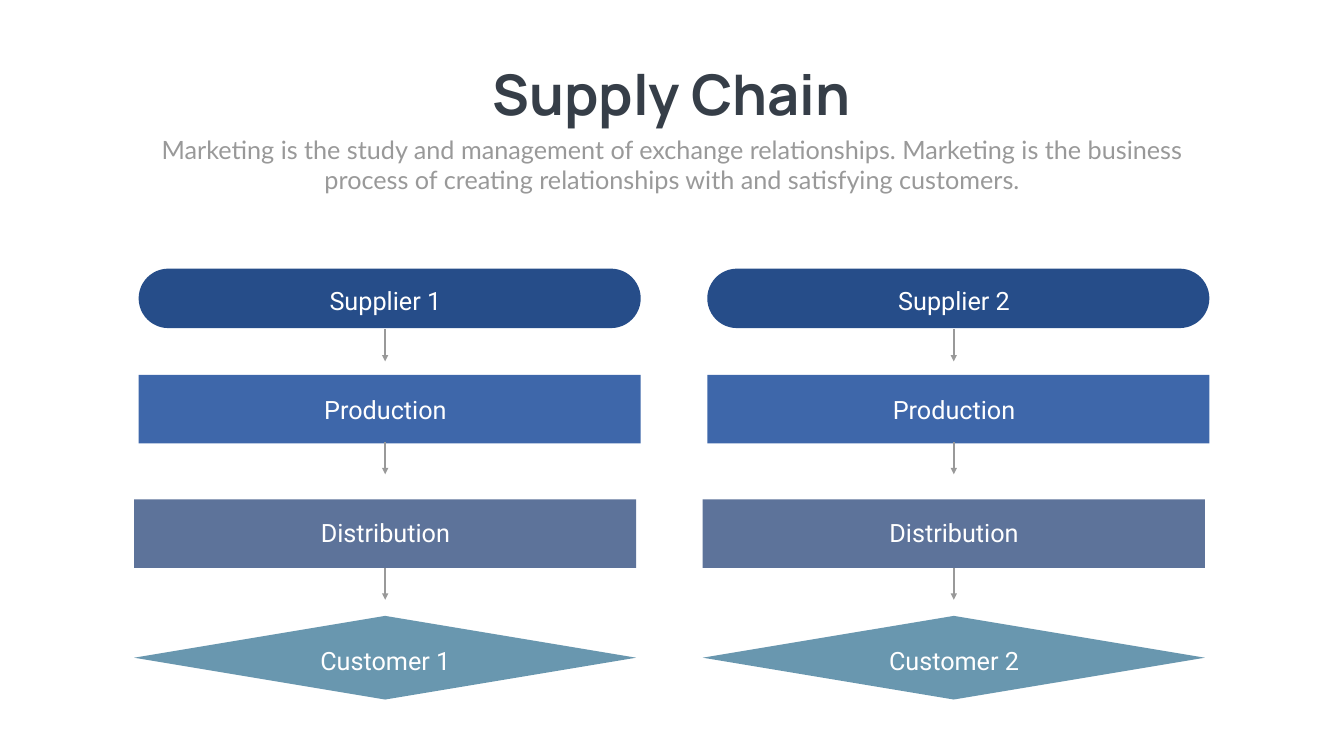
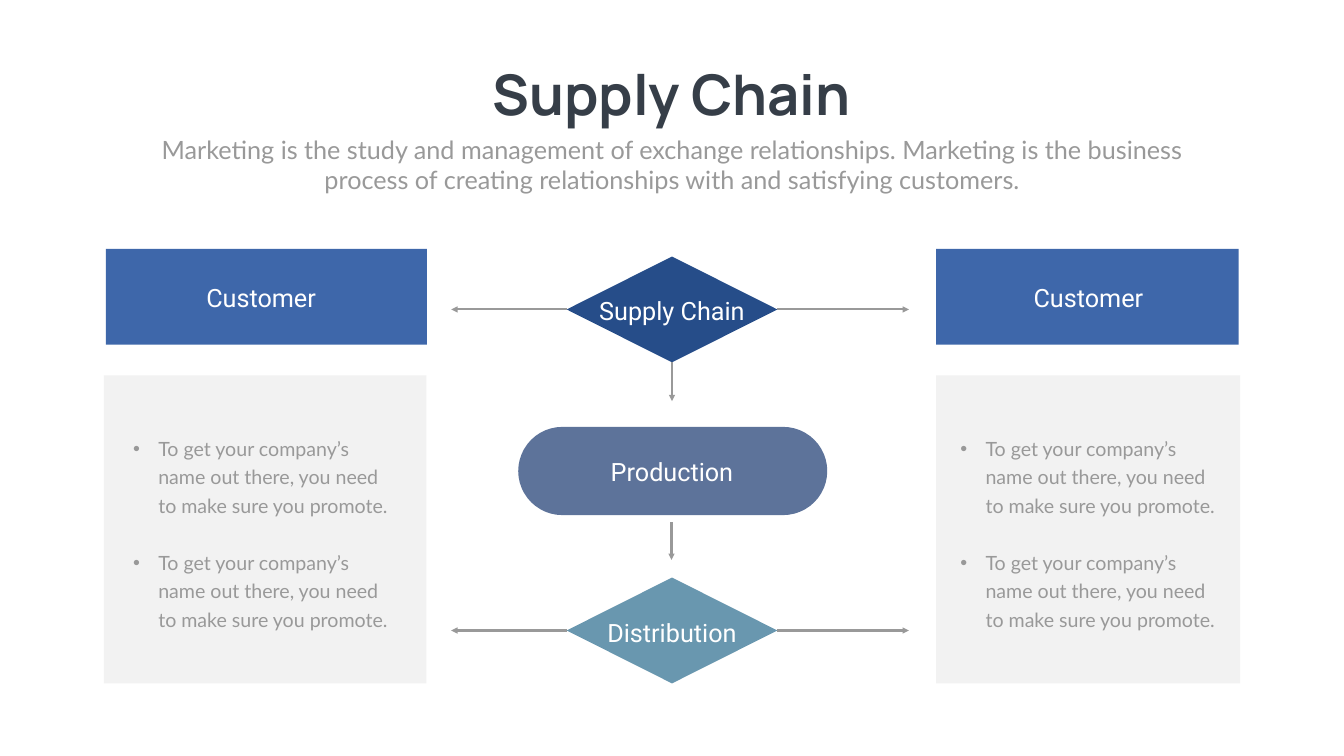
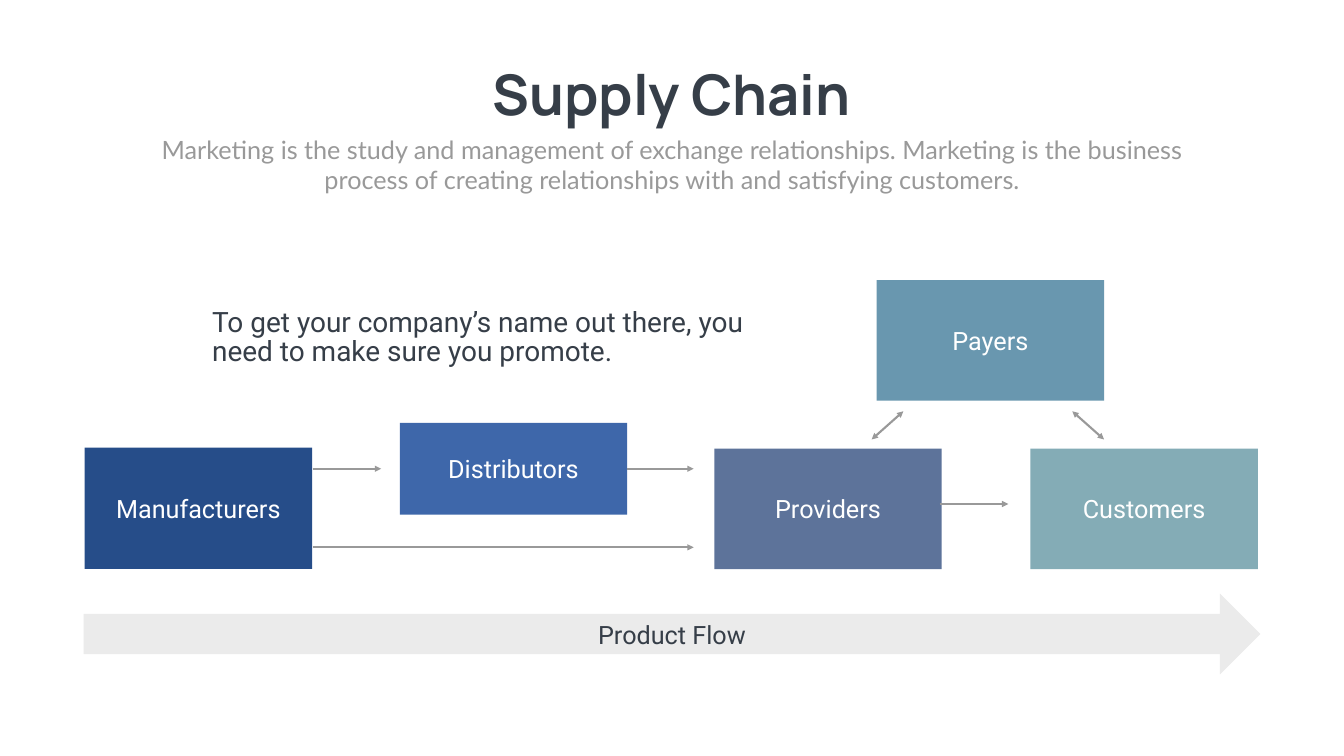
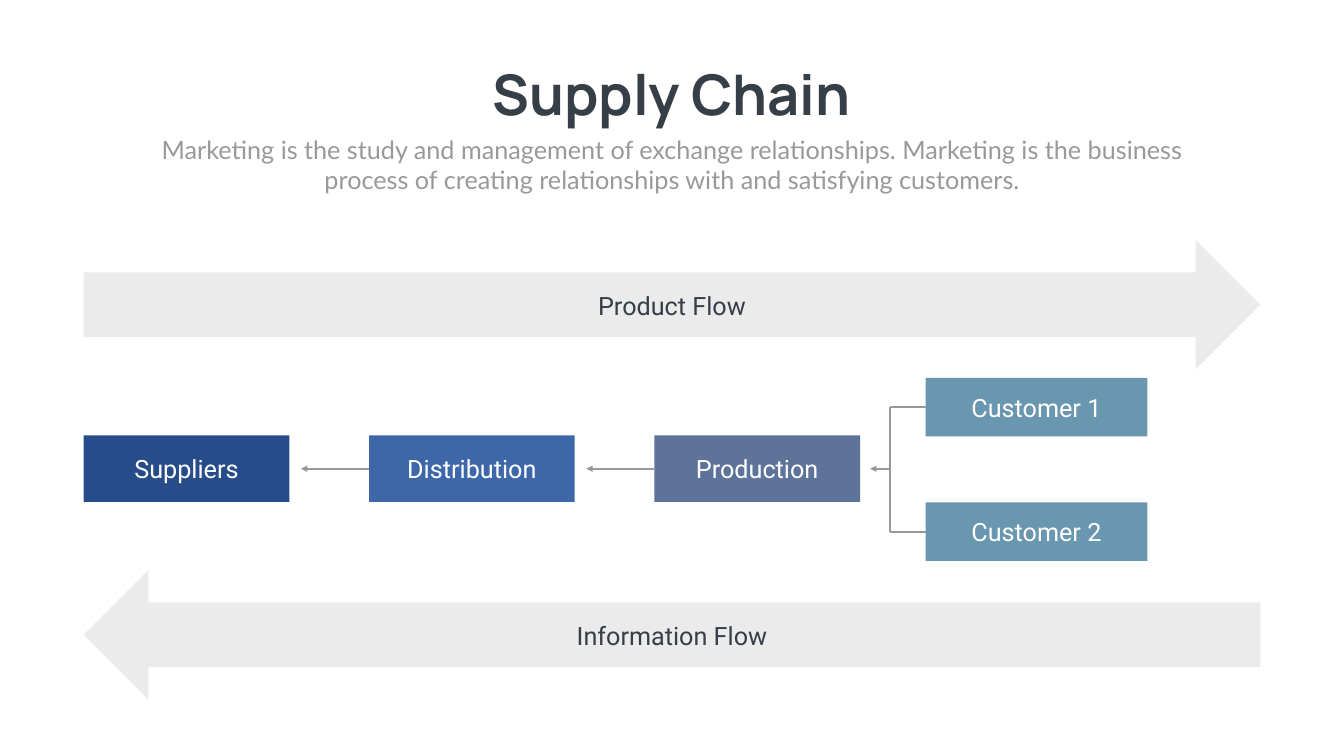
"""Build four supply chain slides."""
from dataclasses import dataclass

from lxml import etree
from pptx import Presentation
from pptx.dml.color import RGBColor
from pptx.enum import shapes, text
from pptx.oxml.ns import qn
from pptx.util import Pt

PX = 9144
KIND = shapes.MSO_SHAPE
TOP, LEFT, BOTTOM, RIGHT = range(4)


@dataclass(frozen=True)
class Theme:
    """Colours and type styles of the deck."""
    navy: str = "264D89"
    blue: str = "3E67AA"
    slate: str = "5D739A"
    teal: str = "6997AF"
    mint: str = "84ACB6"
    band: str = "EBEBEB"
    panel: str = "808080"
    grey: str = "999999"
    dark: str = "363E48"
    white: str = "FFFFFF"

    def style(self, name):
        """Return font values, colour and paragraph values of a style."""
        mid = {"alignment": text.PP_ALIGN.CENTER}
        left = {"alignment": text.PP_ALIGN.LEFT, "line_spacing": Pt(40.8)}
        return {
            "title": ({"name": "Manrope", "size": Pt(80), "bold": True}, self.dark, mid),
            "lead": ({"name": "Lato", "size": Pt(36)}, self.grey, mid),
            "label": ({"name": "Roboto", "size": Pt(36)}, self.white, mid),
            "flow": ({"name": "Roboto", "size": Pt(36)}, self.dark, mid),
            "note": ({"name": "Roboto", "size": Pt(40)}, self.dark, left),
            "list": ({"name": "Lato", "size": Pt(28)}, self.grey, left),
        }[name]


class Deck:
    """Draw styled elements on the current slide."""

    def __init__(self, theme):
        """Start a wide deck."""
        self.theme = theme
        self.prs = Presentation()
        self.prs.slide_width, self.prs.slide_height = 2666 * PX, 1500 * PX
        self.slide = None

    def page(self, layout=5):
        """Add a slide with the shared title and lead."""
        self.slide = self.prs.slides.add_slide(self.prs.slide_layouts[layout])
        self.place(self.slide.shapes.title, 937, 112, 791, 145)
        self.letter(self.slide.shapes.title, ["Supply Chain"], "title", wrap=False)
        self.label("Marketing is the study and management of exchange relationships. "
                   "Marketing is the business process of creating relationships with "
                   "and satisfying customers.", 292, 261, 2082, 131, "lead", True)

    def place(self, item, *box):
        """Move an item to a box in px."""
        for key, val in zip(("left", "top", "width", "height"), box):
            setattr(item, key, val * PX)

    def letter(self, item, lines, name, wrap=True):
        """Fill an item with styled paragraphs."""
        face, ink, form = self.theme.style(name)
        frame = item.text_frame
        frame.text = "\n".join(lines)
        setup = {"word_wrap": wrap, "auto_size": text.MSO_AUTO_SIZE.NONE,
                 "vertical_anchor": text.MSO_ANCHOR.MIDDLE}
        for key, val in setup.items():
            setattr(frame, key, val)
        for para in frame.paragraphs:
            for key, val in form.items():
                setattr(para, key, val)
            for key, val in face.items():
                setattr(para.font, key, val)
            para.font.color.rgb = RGBColor.from_string(ink)

    def label(self, words, x, y, w, h=71, name="label", wrap=False):
        """Add a text box."""
        item = self.slide.shapes.add_textbox(x * PX, y * PX, w * PX, h * PX)
        self.letter(item, [words], name, wrap)

    def shape(self, kind, fill, x, y, w, h, words=None, alpha=None):
        """Add a flat shape, with text if given."""
        item = self.slide.shapes.add_shape(kind, x * PX, y * PX, w * PX, h * PX)
        item.shadow.inherit = False
        item.line.fill.background()
        item.fill.solid()
        item.fill.fore_color.rgb = RGBColor.from_string(fill)
        if kind == KIND.ROUNDED_RECTANGLE:
            item.adjustments[0] = 0.5
        if alpha:
            tone = item._element.spPr.find(".//" + qn("a:srgbClr"))
            etree.SubElement(tone, qn("a:alpha")).set("val", str(alpha * 1000))
        if words:
            self.letter(item, [words], "label")
        return item

    def line(self, x1, y1, x2, y2, ends=("tailEnd",), join=None):
        """Add a line with arrowheads, joined at its start to (shape, side)."""
        item = self.slide.shapes.add_connector(
            shapes.MSO_CONNECTOR.STRAIGHT, x1 * PX, y1 * PX, x2 * PX, y2 * PX)
        if join:
            item.begin_connect(*join)
        item.line.width = Pt(3)
        item.line.color.rgb = RGBColor.from_string(self.theme.grey)
        pen = item._element.spPr.find(qn("a:ln"))
        for end in ends:
            etree.SubElement(pen, qn("a:" + end)).set("type", "triangle")
        etree.SubElement(item._element.spPr, qn("a:effectLst"))

    def bullets(self, slot, lines, *box):
        """Fill a body placeholder with a spaced list, in front of its panel."""
        item = self.slide.placeholders[slot]
        self.place(item, *box)
        self.letter(item, lines, "list")
        for i, para in enumerate(item.text_frame.paragraphs):
            prop = para._p.get_or_add_pPr()
            prop.set("marL", str(50 * PX))
            prop.set("indent", str(-50 * PX))
            para.space_before = Pt(40.8 if i else 0)
        self.slide.shapes._spTree.append(item._element)

    def flow(self, words, y, h, turn=0):
        """Add a wide block arrow with its label."""
        item = self.shape(KIND.RIGHT_ARROW, self.theme.band, 166, y, 2334, h)
        item.rotation = turn
        self.label(words, 1131, y + (h - 71) // 2 + 1, 404, name="flow")


def chains(deck):
    """Draw two parallel chains."""
    hue = deck.theme
    deck.page()
    for num, x in enumerate((266, 1394), 1):
        steps = (
            (KIND.ROUNDED_RECTANGLE, hue.navy, 9, 533, 118, f"Supplier {num}", 560, 653),
            (KIND.RECTANGLE, hue.blue, 9, 744, 136, "Production", 776, 877),
            (KIND.RECTANGLE, hue.slate, 0, 991, 136, "Distribution", 1020, 1126),
            (KIND.DIAMOND, hue.teal, 0, 1222, 166, f"Customer {num}", 1274, None),
        )
        for kind, fill, dx, y, h, words, ty, ly in steps:
            item = deck.shape(kind, fill, x + dx, y, 996, h)
            deck.label(words, x + 278, ty, 441)
            if ly:
                join = None if dx else (item, BOTTOM)
                deck.line(x + 498, ly, x + 498, ly + 64, join=join)


def hub(deck):
    """Draw a central chain between two customers."""
    hue = deck.theme
    deck.page(3)
    tip = "To get your company’s name out there, you need to make sure you promote."
    sides = ((1, 206, 640, 210, 637, 348, 254), (2, 1857, 603, 1857, 600, 1989, 1895))
    for slot, px, pw, hx, hw, tx, bx in sides:
        deck.shape(KIND.RECTANGLE, hue.panel, px, 745, pw, 611, alpha=10)
        deck.shape(KIND.RECTANGLE, hue.blue, hx, 494, hw, 190)
        deck.label("Customer", tx, 554, 340)
        deck.bullets(slot, [tip, tip], bx, 851, 527, 407)
    deck.shape(KIND.ROUNDED_RECTANGLE, hue.slate, 1028, 847, 613, 175)
    deck.label("Production", 1163, 899, 340)
    for words, fill, y, ty in (("Supply Chain", hue.navy, 509, 581),
                               ("Distribution", hue.teal, 1146, 1220)):
        item = deck.shape(KIND.DIAMOND, fill, 1124, y, 418, 210)
        deck.label(words, 1163, ty, 340)
        for side, start, end in ((LEFT, 1124, 895), (RIGHT, 1542, 1803)):
            deck.line(start, y + 105, end, y + 105, join=(item, side))
        if fill == hue.navy:
            deck.line(1333, 719, 1333, 796, join=(item, BOTTOM))
    deck.line(1332, 1036, 1332, 1111)


def market(deck):
    """Draw the route from makers to customers."""
    hue = deck.theme
    deck.page()
    boxes = (("Manufacturers", hue.navy, 168, 888, 241),
             ("Distributors", hue.blue, 793, 839, 182),
             ("Providers", hue.slate, 1417, 890, 239),
             ("Payers", hue.teal, 1739, 556, 239),
             ("Customers", hue.mint, 2044, 890, 239))
    made = {words: deck.shape(KIND.RECTANGLE, fill, x, y, 451, h, words)
            for words, fill, x, y, h in boxes}
    deck.line(620, 930, 756, 930)
    deck.line(620, 1086, 1376, 1086)
    deck.line(1244, 930, 1376, 930, join=(made["Distributors"], RIGHT))
    deck.line(1864, 1000, 2000, 1000)
    for low, high in ((1729, 1792), (2190, 2127)):
        deck.line(low, 872, high, 816, ("headEnd", "tailEnd"))
    deck.flow("Product Flow", 1178, 160)
    deck.label("To get your company’s name out there, you need to make sure you promote.",
               411, 609, 1082, 125, "note", True)


def flows(deck):
    """Draw the chain between two opposite flows."""
    hue = deck.theme
    deck.page()
    deck.flow("Product Flow", 476, 257)
    deck.flow("Information Flow", 1131, 257, 180)
    for i, (words, fill) in enumerate((("Suppliers", hue.navy), ("Distribution", hue.blue),
                                       ("Production", hue.slate))):
        x = 166 + 566 * i
        item = deck.shape(KIND.RECTANGLE, fill, x, 864, 408, 132, words)
        if i:
            deck.line(x, 930, x - 135, 930, join=(item, LEFT))
    for num, y in enumerate((750, 997), 1):
        item = deck.shape(KIND.RECTANGLE, hue.teal, 1836, y, 440, 116, f"Customer {num}")
        deck.line(1836, y + 58, 1765, y + 58, (), (item, LEFT))
    deck.line(1765, 808, 1765, 1055, ())
    deck.line(1765, 930, 1726, 930)


def main():
    """Build and save the deck."""
    deck = Deck(Theme())
    for draw in (chains, hub, market, flows):
        draw(deck)
    deck.prs.save("out.pptx")


if __name__ == "__main__":
    main()
